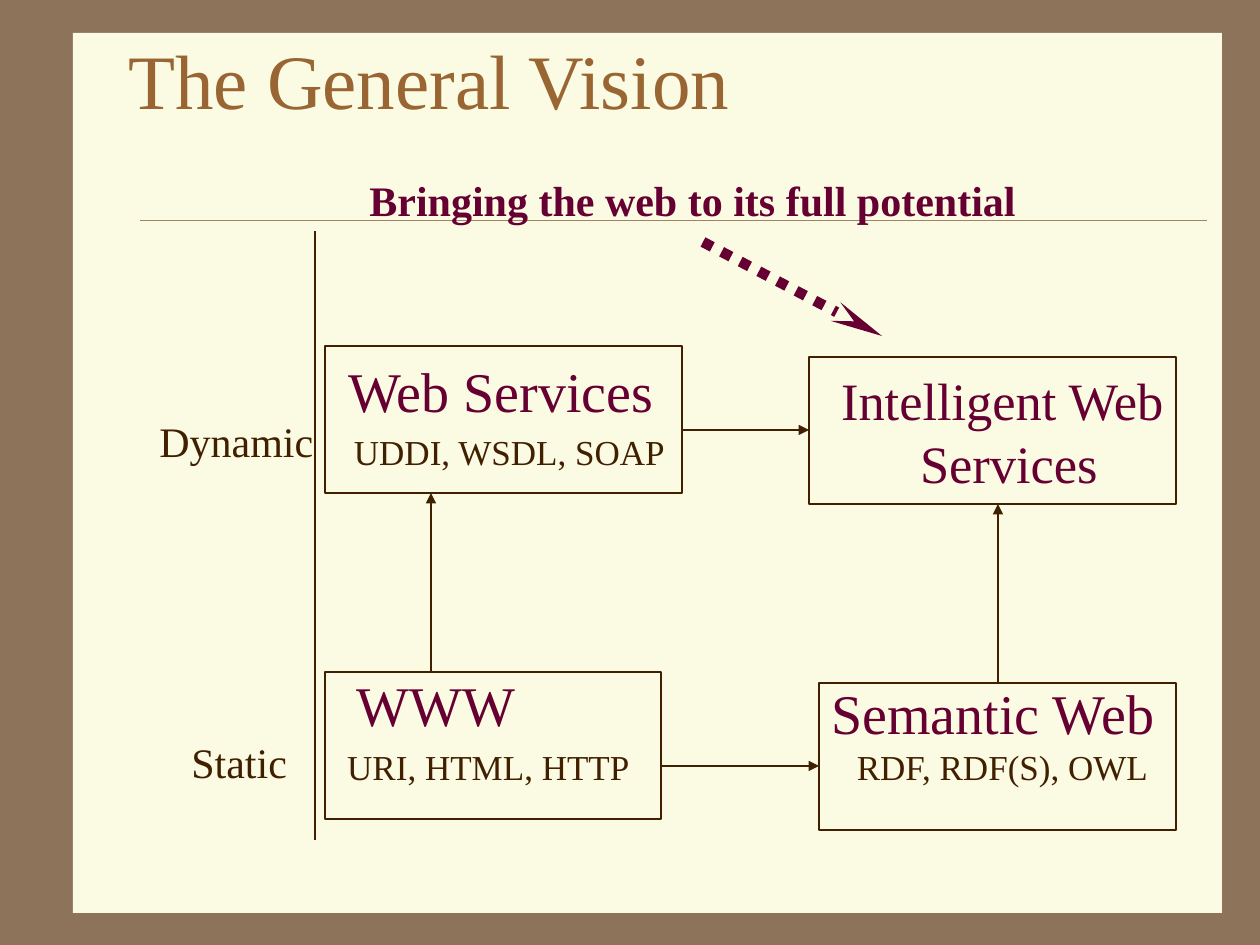
from typing import NamedTuple

from lxml.etree import SubElement
from pptx import Presentation
from pptx.dml.color import RGBColor
from pptx.enum.dml import MSO_LINE
from pptx.enum.shapes import MSO_CONNECTOR, MSO_SHAPE
from pptx.enum.text import MSO_ANCHOR, PP_ALIGN
from pptx.oxml.ns import qn
from pptx.util import Emu, Pt

PX_PER_INCH = 126
FONT = "Times New Roman"
FRAME_BROWN = RGBColor(0x8C, 0x73, 0x5A)
CREAM = RGBColor(0xFB, 0xFA, 0xE2)
RULE_TAN = RGBColor(0xA0, 0x83, 0x66)
TITLE_BROWN = RGBColor(0x99, 0x66, 0x33)
DARK_BROWN = RGBColor(0x40, 0x20, 0x00)
PLUM = RGBColor(0x66, 0x00, 0x33)
ARROW = {"type": "triangle"}
LONG_ARROW = {"type": "stealth", "w": "sm", "len": "lg"}


class Area(NamedTuple):
    left: int
    top: int
    width: int
    height: int


class Label(NamedTuple):
    text: str
    area: Area
    size: int
    color: RGBColor
    align: PP_ALIGN = PP_ALIGN.LEFT
    anchor: MSO_ANCHOR = MSO_ANCHOR.TOP
    bold: bool = False
    wrap: bool = False


class Line(NamedTuple):
    start: tuple[int, int]
    end: tuple[int, int]
    color: RGBColor = DARK_BROWN
    width: float = 0.75
    head: dict[str, str] | None = None
    dash: MSO_LINE | None = None


def px(length: int) -> Emu:
    return Emu(round(length * 914400 / PX_PER_INCH))


def draw_rectangle(slide, area: Area):
    rectangle = slide.shapes.add_shape(MSO_SHAPE.RECTANGLE, *map(px, area))
    rectangle.shadow.inherit = False
    return rectangle


def draw_box(slide, area: Area) -> None:
    """Draw an outlined box without fill."""
    box = draw_rectangle(slide, area)
    box.fill.background()
    box.line.color.rgb = DARK_BROWN
    box.line.width = Pt(1.5)


def draw_label(slide, label: Label) -> None:
    frame = slide.shapes.add_textbox(*map(px, label.area)).text_frame
    frame.word_wrap = label.wrap
    frame.vertical_anchor = label.anchor
    frame.text = label.text
    for paragraph in frame.paragraphs:
        paragraph.alignment = label.align
        paragraph.font.name = FONT
        paragraph.font.size = Pt(label.size)
        paragraph.font.bold = label.bold
        paragraph.font.color.rgb = label.color


def draw_line(slide, line: Line) -> None:
    connector = slide.shapes.add_connector(
        MSO_CONNECTOR.STRAIGHT, *map(px, line.start + line.end))
    connector.line.color.rgb = line.color
    connector.line.width = Pt(line.width)
    if line.dash is not None:
        connector.line.dash_style = line.dash
    if line.head:
        SubElement(connector.line._get_or_add_ln(), qn("a:tailEnd"), line.head)
    SubElement(connector._element.spPr, qn("a:effectLst"))


def heading(text: str, area: Area) -> Label:
    return Label(text, area, 32, PLUM)


def centered(text: str, left: int, top: int, size: int = 20,
             color: RGBColor = DARK_BROWN) -> Label:
    """Place text in the middle of a standard area inside a box."""
    return Label(text, Area(left, top, 367, 105), size, color,
                 PP_ALIGN.CENTER, MSO_ANCHOR.MIDDLE)


PAGE = Area(73, 33, 1149, 880)
BOXES = [
    Area(325, 672, 336, 147),
    Area(819, 683, 357, 147),
    Area(325, 346, 357, 147),
    Area(809, 357, 367, 147),
]
LINES = [
    Line((140, 220), (1207, 220), RULE_TAN, 0.25),
    Line((703, 242), (882, 336), PLUM, 6, LONG_ARROW, MSO_LINE.ROUND_DOT),
    Line((315, 231), (315, 840)),
    Line((431, 672), (431, 493), head=ARROW),
    Line((662, 766), (819, 766), head=ARROW),
    Line((683, 430), (809, 430), head=ARROW),
    Line((998, 683), (998, 504), head=ARROW),
]
LABELS = [
    Label("The General Vision", Area(116, 0, 1060, 158), 44, TITLE_BROWN,
          anchor=MSO_ANCHOR.MIDDLE, wrap=True),
    Label("Bringing the web to its full potential", Area(357, 168, 672, 63), 24, PLUM,
          bold=True),
    Label("Static", Area(179, 730, 121, 63), 24, DARK_BROWN),
    Label("Dynamic", Area(147, 409, 179, 63), 24, DARK_BROWN),
    heading("Web Services", Area(336, 350, 335, 81)),
    centered("UDDI, WSDL, SOAP", 326, 399),
    heading("WWW", Area(344, 664, 184, 81)),
    centered("URI, HTML, HTTP", 305, 714),
    heading("Semantic Web", Area(819, 672, 357, 81)),
    centered("RDF, RDF(S), OWL", 819, 714),
    centered("Intelligent Web\n Services", 819, 378, 30, PLUM),
]


def main() -> None:
    presentation = Presentation()
    presentation.slide_width = px(1260)
    presentation.slide_height = px(945)
    slide = presentation.slides.add_slide(presentation.slide_layouts[6])
    slide.background.fill.solid()
    slide.background.fill.fore_color.rgb = FRAME_BROWN

    page = draw_rectangle(slide, PAGE)
    page.fill.solid()
    page.fill.fore_color.rgb = CREAM
    page.line.fill.background()

    for line in LINES:
        draw_line(slide, line)
    for area in BOXES:
        draw_box(slide, area)
    for label in LABELS:
        draw_label(slide, label)
    presentation.save("out.pptx")


if __name__ == "__main__":
    main()
